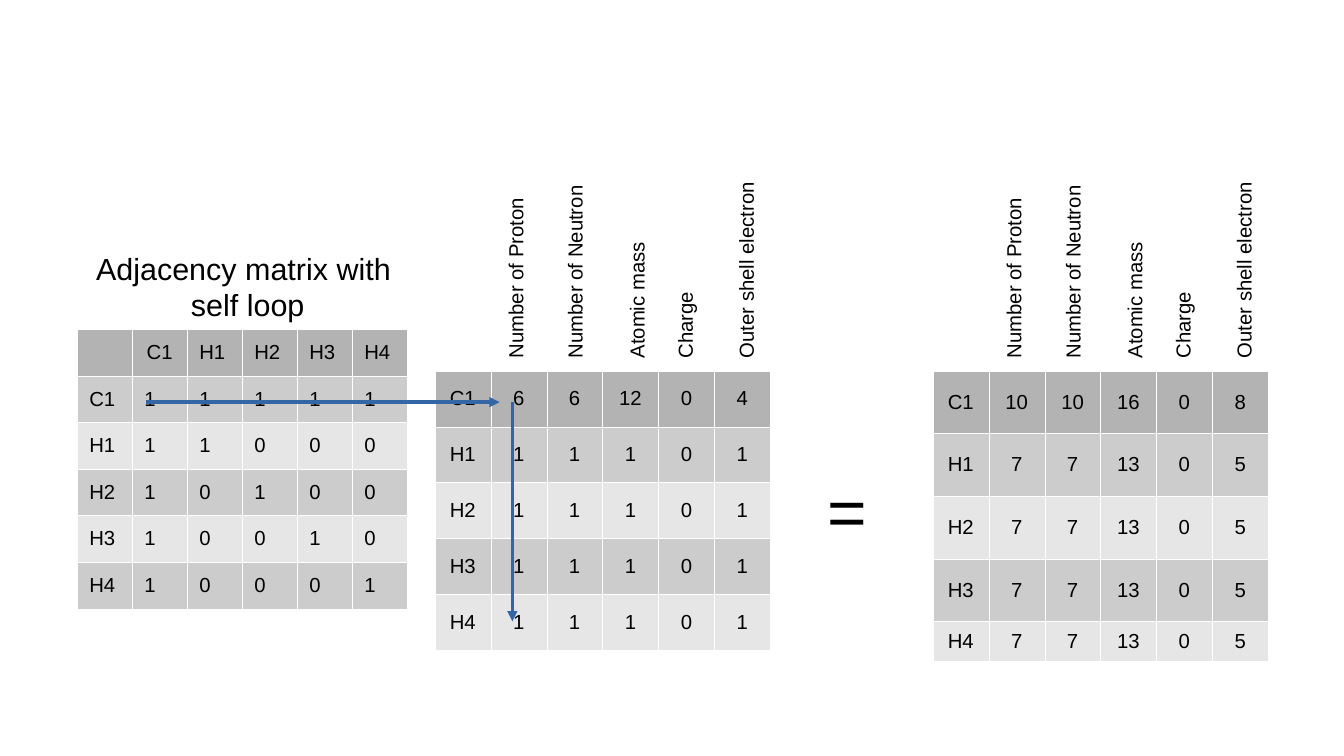
from lxml.etree import SubElement
from pptx import Presentation
from pptx.dml.color import RGBColor
from pptx.enum.shapes import MSO_CONNECTOR
from pptx.enum.text import MSO_ANCHOR, PP_ALIGN
from pptx.oxml.ns import qn
from pptx.util import Pt

FONT = "Arial"
BLACK = "000000"
WHITE = "FFFFFF"
ARROW_BLUE = "3465A4"
HEADER_GREY = "B3B3B3"
BAND_GREYS = ("E6E6E6", "CCCCCC")

HYDROGENS = ["H1", "H2", "H3", "H4"]
ATOMS = ["C1"] + HYDROGENS
FEATURES = [
    ("Number of Proton", 0),
    ("Number of Neutron", 35),
    ("Atomic mass", 71.5),
    ("Charge", 100),
    ("Outer shell electron", 136),
]
FEATURE_TOP = 219
FEATURE_COLUMN = 33


def color(value):
    return RGBColor.from_string(value)


def format_paragraph(paragraph, text, size, align):
    paragraph.text = text
    paragraph.alignment = align
    paragraph.font.name = FONT
    paragraph.font.size = Pt(size)
    paragraph.font.color.rgb = color(BLACK)


def add_text(page, left, top, width, height, lines, size, align=PP_ALIGN.CENTER):
    box = page.shapes.add_textbox(Pt(left), Pt(top), Pt(width), Pt(height))
    frame = box.text_frame
    frame.word_wrap = True
    for index, line in enumerate(lines):
        paragraph = frame.add_paragraph() if index else frame.paragraphs[0]
        format_paragraph(paragraph, line, size, align)
    return box


def set_borders(cell):
    properties = cell._tc.get_or_add_tcPr()
    for position, side in enumerate(("lnL", "lnR", "lnT", "lnB")):
        border = properties.makeelement(qn(f"a:{side}"), {"w": str(Pt(0.06))})
        fill = SubElement(border, qn("a:solidFill"))
        SubElement(fill, qn("a:srgbClr"), val=WHITE)
        properties.insert(position, border)


def add_matrix(page, left, top, column_width, row_heights, rows, is_centered):
    columns = len(rows[0])
    frame = page.shapes.add_table(
        len(rows), columns, Pt(left), Pt(top),
        Pt(column_width * columns), Pt(sum(row_heights)))
    table = frame.table
    table.first_row = False
    table.horz_banding = False
    for column in table.columns:
        column.width = Pt(column_width)
    for row_index, values in enumerate(rows):
        table.rows[row_index].height = Pt(row_heights[row_index])
        grey = BAND_GREYS[row_index % 2] if row_index else HEADER_GREY
        for column_index, value in enumerate(values):
            cell = table.cell(row_index, column_index)
            cell.vertical_anchor = MSO_ANCHOR.MIDDLE
            cell.margin_top = cell.margin_bottom = Pt(3)
            cell.fill.solid()
            cell.fill.fore_color.rgb = color(grey)
            set_borders(cell)
            centered = is_centered(row_index, column_index)
            align = PP_ALIGN.CENTER if centered else PP_ALIGN.LEFT
            format_paragraph(cell.text_frame.paragraphs[0], str(value), 12, align)


def add_feature_labels(page, table_left):
    width, height = 122.5, 21
    for name, offset in FEATURES:
        center = table_left + 47.25 + offset
        label = add_text(page, center - width / 2, 147, width, height,
                         [name], 12, PP_ALIGN.LEFT)
        label.rotation = 270


def add_feature_matrix(page, left, row_heights, carbon, hydrogen):
    rows = [["C1"] + carbon] + [[atom] + hydrogen for atom in HYDROGENS]
    add_matrix(page, left, FEATURE_TOP, FEATURE_COLUMN, row_heights, rows,
               lambda row, column: True)
    add_feature_labels(page, left)


def add_adjacency_matrix(page):
    rows = [[""] + ATOMS]
    for row, atom in enumerate(ATOMS):
        links = [int(row == column or 0 in (row, column))
                 for column in range(len(ATOMS))]
        rows.append([atom] + links)
    add_matrix(page, 45.5, 194.5, 32.5, [27.5] * len(rows), rows,
               lambda row, column: (row, column) == (0, 1))


def add_arrow(page, start, end):
    arrow = page.shapes.add_connector(
        MSO_CONNECTOR.STRAIGHT, Pt(start[0]), Pt(start[1]), Pt(end[0]), Pt(end[1]))
    arrow.line.color.rgb = color(ARROW_BLUE)
    arrow.line.width = Pt(0)
    SubElement(arrow.line._get_or_add_ln(), qn("a:tailEnd"), type="triangle")
    SubElement(arrow._element.spPr, qn("a:effectLst"))


def main():
    deck = Presentation()
    deck.slide_width = Pt(793.5)
    deck.slide_height = Pt(446.5)
    page = deck.slides.add_slide(deck.slide_layouts[6])

    add_adjacency_matrix(page)
    add_text(page, 14.5, 144, 263.5, 48,
             ["Adjacency matrix with ", "self loop"], 18)
    add_feature_matrix(page, 256.75, [33] * 5, [6, 6, 12, 0, 4], [1, 1, 1, 0, 1])
    add_feature_matrix(page, 550.75, [37] * 4 + [23.5],
                       [10, 10, 16, 0, 8], [7, 7, 13, 0, 5])
    add_text(page, 417.5, 273.5, 165.5, 52, ["="], 40)
    add_arrow(page, (86.5, 237.5), (295, 237.5))
    add_arrow(page, (302.5, 237.5), (302.5, 367))

    deck.save("out.pptx")


if __name__ == "__main__":
    main()
